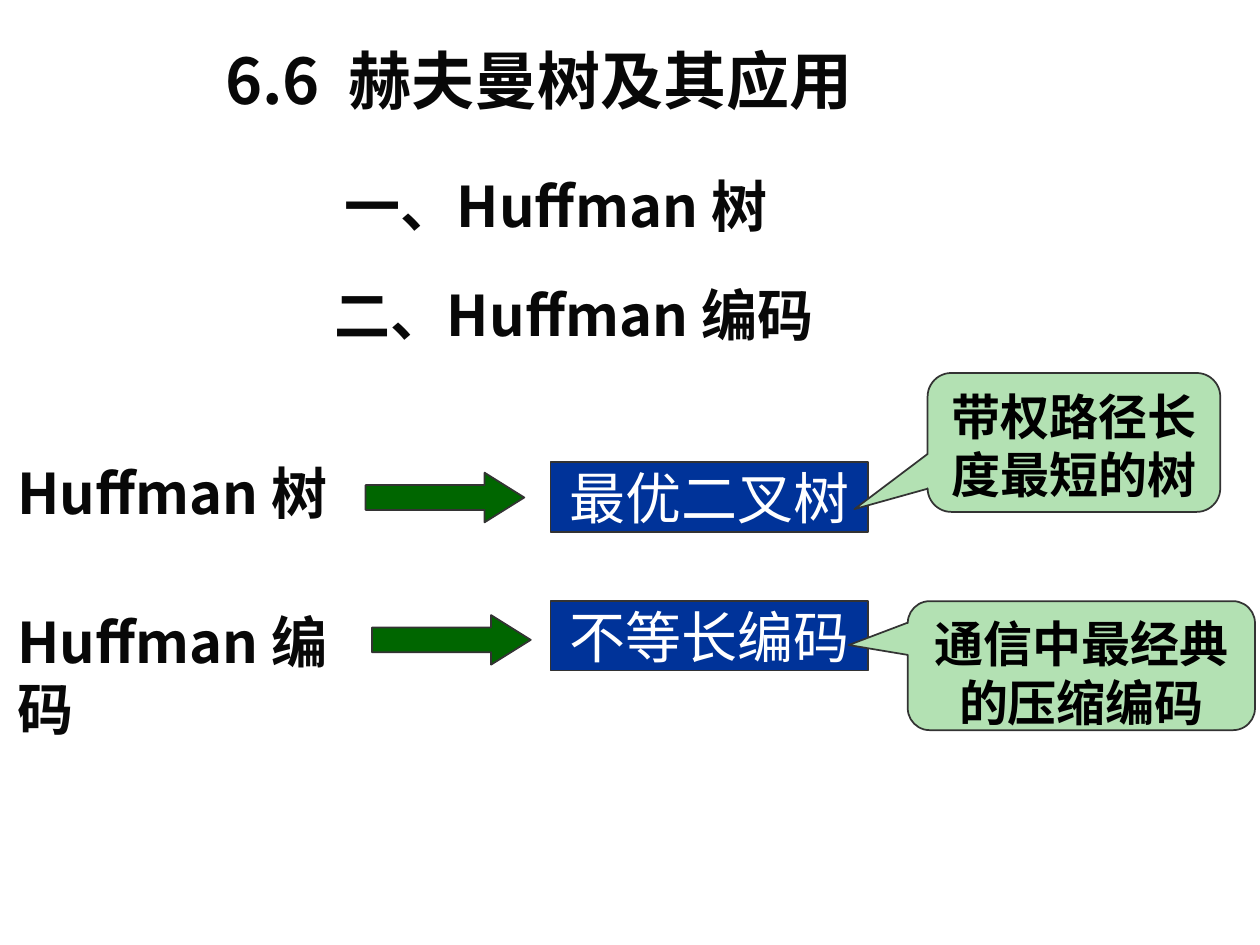
from pptx import Presentation
from pptx.dml.color import RGBColor
from pptx.enum.lang import MSO_LANGUAGE_ID
from pptx.enum.shapes import MSO_SHAPE
from pptx.enum.text import MSO_ANCHOR, MSO_AUTO_SIZE, PP_ALIGN
from pptx.util import Cm, Pt

COLORS = {
    "ink": "080808",
    "outline": "333333",
    "arrow": "006600",
    "term": "003399",
    "term_text": "FFFFFF",
    "note": "B3E1B3",
    "note_text": "000000",
}


class SlideBuilder:
    heading_font = "Noto Sans CJK SC"
    body_font = "Times New Roman"

    def __init__(self, slide):
        self.slide = slide

    def add_text(self, frame, text, size, font, color, bold):
        run = frame.paragraphs[0].add_run()
        run.text = text
        run.font.size = Pt(size)
        run.font.name = font
        run.font.bold = bold
        run.font.language_id = MSO_LANGUAGE_ID.SIMPLIFIED_CHINESE
        run.font.color.rgb = RGBColor.from_string(COLORS[color])

    def heading(self, text, left, top, width, height=1.6, size=32):
        box = self.slide.shapes.add_textbox(Cm(left), Cm(top), Cm(width), Cm(height))
        frame = box.text_frame
        frame.word_wrap = True
        frame.auto_size = MSO_AUTO_SIZE.SHAPE_TO_FIT_TEXT
        self.add_text(frame, text, size, self.heading_font, "ink", True)

    def block(self, kind, left, top, width, height, fill, adjustments=()):
        shape = self.slide.shapes.add_shape(kind, Cm(left), Cm(top), Cm(width), Cm(height))
        shape.shadow.inherit = False
        shape.fill.solid()
        shape.fill.fore_color.rgb = RGBColor.from_string(COLORS[fill])
        shape.line.color.rgb = RGBColor.from_string(COLORS["outline"])
        shape.line.width = Pt(1)
        for index, value in enumerate(adjustments):
            shape.adjustments[index] = value
        return shape

    def arrow(self, left, top):
        self.block(MSO_SHAPE.RIGHT_ARROW, left, top, 3.2, 1, "arrow", (0.5, 0.8))

    def term(self, text, top):
        frame = self.block(MSO_SHAPE.RECTANGLE, 11.1, top, 6.4, 1.4, "term").text_frame
        frame.word_wrap = False
        frame.vertical_anchor = MSO_ANCHOR.MIDDLE
        frame.paragraphs[0].alignment = PP_ALIGN.CENTER
        self.add_text(frame, text, 32, self.body_font, "term_text", False)

    def callout(self, text, left, top, width, height, tip):
        frame = self.block(MSO_SHAPE.ROUNDED_RECTANGULAR_CALLOUT, left, top, width, height,
                           "note", (*tip, 0.17)).text_frame
        frame.word_wrap = True
        frame.vertical_anchor = MSO_ANCHOR.TOP
        frame.paragraphs[0].alignment = PP_ALIGN.CENTER
        self.add_text(frame, text, 28, self.body_font, "note_text", True)


def main():
    presentation = Presentation()
    presentation.slide_width = Cm(25.4)
    presentation.slide_height = Cm(19.05)
    builder = SlideBuilder(presentation.slides.add_slide(presentation.slide_layouts[6]))

    builder.heading("6.6  赫夫曼树及其应用", 4.29, 0.71, 17, 1.78, 36)
    builder.heading("Huffman 树", 0.1, 9.12, 7.8)
    builder.heading("Huffman 编码", 0.1, 12.12, 7.8)
    builder.heading("一、Huffman 树", 6.7, 3.33, 12.4)
    builder.heading("二、Huffman 编码", 6.5, 5.54, 11.6)

    builder.arrow(7.37, 9.53)
    builder.arrow(7.5, 12.4)
    builder.term("最优二叉树", 9.32)
    builder.term("不等长编码", 12.12)
    builder.callout("带权路径长度最短的树", 18.7, 7.52, 5.9, 2.8, (-0.75, 0.48))
    builder.callout("通信中最经典的压缩编码", 18.3, 12.12, 7, 2.6, (-0.67, -0.16))

    presentation.save("out.pptx")


if __name__ == "__main__":
    main()
